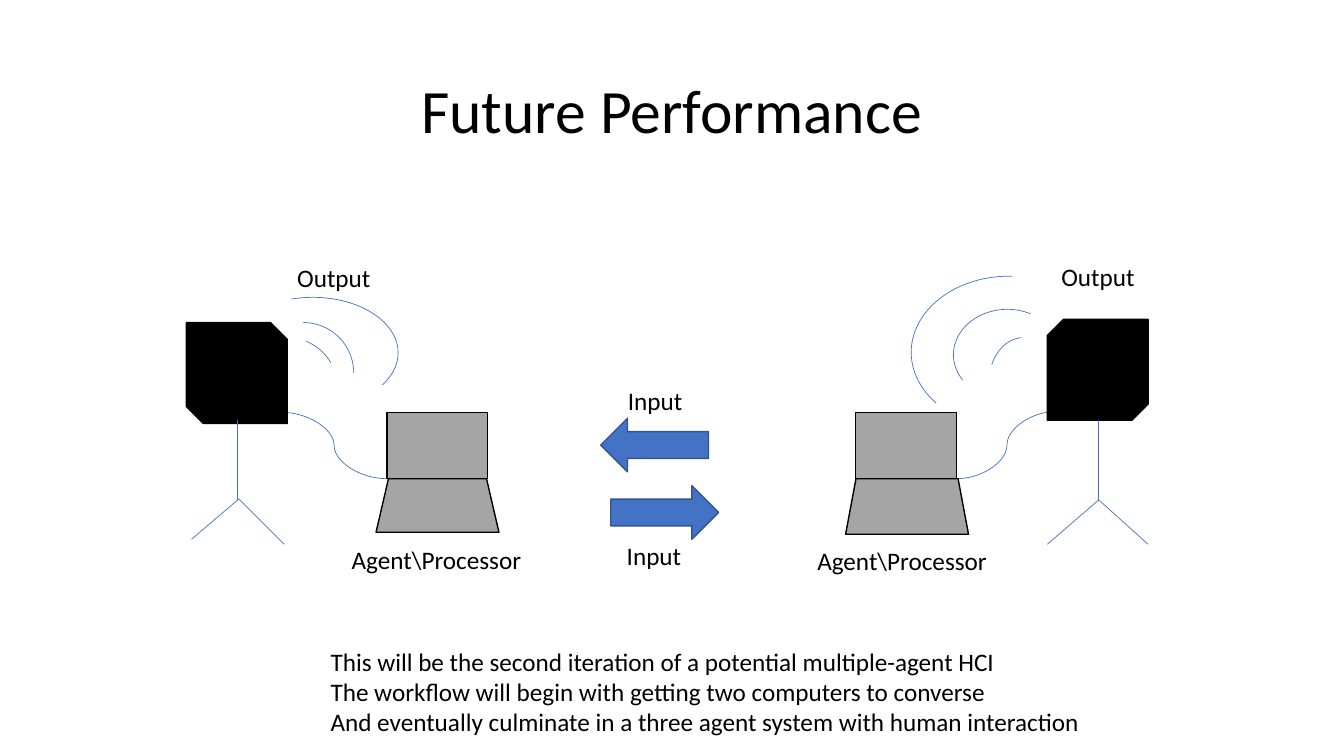
from dataclasses import dataclass

from pptx import Presentation
from pptx.dml.color import RGBColor
from pptx.enum.shapes import MSO_CONNECTOR, MSO_SHAPE
from pptx.enum.text import MSO_ANCHOR, MSO_AUTO_SIZE, PP_ALIGN
from pptx.oxml.ns import qn
from pptx.slide import Slide
from pptx.text.text import _Paragraph
from pptx.util import Pt

COLORS = {"black": "000000", "gray": "A5A5A5", "blue": "4472C4", "navy": "325491"}


@dataclass
class Block:
    kind: MSO_SHAPE
    box: tuple[float, float, float, float]
    fill: str
    line: str = "black"
    adjust: tuple[float, ...] = ()


@dataclass
class Wave:
    box: tuple[float, float, float, float]
    angles: tuple[float, float]  # start and end, in units of 5/3 degree
    flips: tuple[str, ...] = ()


@dataclass
class Wire:
    start: tuple[float, float]
    end: tuple[float, float]
    kind: MSO_CONNECTOR = MSO_CONNECTOR.STRAIGHT


@dataclass
class Label:
    box: tuple[float, float, float, float]
    lines: tuple[str, ...]


DEVICES = [
    Block(MSO_SHAPE.RECTANGLE, (276.5, 294.5, 72, 47.5), "gray"),
    Block(MSO_SHAPE.RECTANGLE, (611.3, 294.5, 72, 47.5), "gray"),
    Block(MSO_SHAPE.TRAPEZOID, (268.6, 342, 87.8, 38.2), "gray", adjust=(0.232,)),
    Block(MSO_SHAPE.TRAPEZOID, (604, 342, 87.8, 39.6), "gray", adjust=(0.187,)),
    Block(MSO_SHAPE.RIGHT_ARROW, (436.3, 347, 77, 38.2), "blue", "navy"),
    Block(MSO_SHAPE.LEFT_ARROW, (429.1, 298.8, 77, 38.2), "blue", "navy"),
    Block(MSO_SHAPE.SNIP_2_DIAG_RECTANGLE, (133.2, 230.4, 72, 72), "black"),
    Block(MSO_SHAPE.SNIP_2_DIAG_RECTANGLE, (748.1, 228.2, 72, 72), "black",
          adjust=(0.161, 0)),
]

WAVES = [
    Wave((169.2, 241.2, 72, 72), (175.37, 197.94)),
    Wave((180.7, 230.4, 72, 72), (162, 0)),
    Wave((162.7, 212.4, 121.7, 79.2), (148.92, 14.91)),
    Wave((706.3, 241.2, 49, 64.8), (163.27, 197.73), ("flipH",)),
    Wave((681.1, 221, 77, 64.8), (144.24, 17.68), ("flipH",)),
    Wave((650.9, 197.3, 139.7, 108.7), (195.08, 55.4), ("flipH", "flipV")),
]

CABLES = [
    Wire((683.3, 342), (755.3, 293.8), MSO_CONNECTOR.CURVE),
    Wire((276.5, 342), (200.9, 294.5), MSO_CONNECTOR.CURVE),
]

STANDS = [
    Wire((784.8, 300.2), (784.8, 357.1)),
    Wire((784.1, 356.4), (820.1, 388.8)),
    Wire((784.8, 357.1), (748.1, 388.8)),
    Wire((169.9, 300.2), (169.9, 357.1)),
    Wire((170.6, 356.4), (203, 388.8)),
    Wire((170.6, 356.4), (136.8, 385.2)),
]

LABELS = [
    Label((440.6, 382.3, 54, 28.8), ("Input",)),
    Label((441.4, 271.4, 54, 28.8), ("Input",)),
    Label((205.2, 183.6, 67.7, 28.8), ("Output",)),
    Label((751, 182.9, 67.7, 28.8), ("Output",)),
    Label((576.7, 385.9, 141.1, 28.8), ("Agent\\Processor",)),
    Label((244.1, 385.2, 141.1, 28.8), ("Agent\\Processor",)),
    Label((229, 457.9, 555.8, 72.7), (
        "This will be the second iteration of a potential multiple-agent HCI",
        "The workflow will begin with getting two computers to converse",
        "And eventually culminate in a three agent system with human interaction",
    )),
]


def color(name: str) -> RGBColor:
    return RGBColor.from_string(COLORS[name])


def style(para: _Paragraph, size: float) -> None:
    para.font.name = "Calibri"
    para.font.size = Pt(size)
    para.font.color.rgb = color("black")


def add_title(slide: Slide, text: str) -> None:
    title = slide.shapes.title
    title.left, title.top = Pt(66), Pt(28.8)
    title.width, title.height = Pt(828), Pt(104.4)
    title.text_frame.text = text
    title.text_frame.vertical_anchor = MSO_ANCHOR.MIDDLE
    para = title.text_frame.paragraphs[0]
    para.alignment = PP_ALIGN.CENTER
    para.line_spacing = 0.9
    style(para, 44)


def add_block(slide: Slide, block: Block) -> None:
    shape = slide.shapes.add_shape(block.kind, *map(Pt, block.box))
    shape.shadow.inherit = False
    shape.fill.solid()
    shape.fill.fore_color.rgb = color(block.fill)
    shape.line.color.rgb = color(block.line)
    shape.line.width = Pt(1)
    for index, value in enumerate(block.adjust):
        shape.adjustments[index] = value


def add_wave(slide: Slide, wave: Wave) -> None:
    arc = slide.shapes.add_shape(MSO_SHAPE.ARC, *map(Pt, wave.box))
    arc.shadow.inherit = False
    arc.fill.background()
    arc.line.color.rgb = color("blue")
    arc.line.width = Pt(0.5)
    arc.adjustments[0], arc.adjustments[1] = wave.angles
    for flip in wave.flips:
        arc._element.spPr.find(qn("a:xfrm")).set(flip, "1")


def add_wire(slide: Slide, wire: Wire) -> None:
    line = slide.shapes.add_connector(wire.kind, *map(Pt, wire.start + wire.end))
    line.line.color.rgb = color("blue")
    line.line.width = Pt(0.5)
    props = line._element.spPr
    props.append(props.makeelement(qn("a:effectLst"), {}))


def add_label(slide: Slide, label: Label) -> None:
    frame = slide.shapes.add_textbox(*map(Pt, label.box)).text_frame
    frame.word_wrap = False
    frame.auto_size = MSO_AUTO_SIZE.SHAPE_TO_FIT_TEXT
    frame.text = "\n".join(label.lines)
    for para in frame.paragraphs:
        style(para, 18)


def main() -> None:
    deck = Presentation()
    deck.slide_width, deck.slide_height = Pt(960), Pt(540)
    slide = deck.slides.add_slide(deck.slide_layouts[5])
    add_title(slide, "Future Performance")
    for cable in CABLES:
        add_wire(slide, cable)
    for device in DEVICES:
        add_block(slide, device)
    for stand in STANDS:
        add_wire(slide, stand)
    for wave in WAVES:
        add_wave(slide, wave)
    for label in LABELS:
        add_label(slide, label)
    deck.save("out.pptx")


if __name__ == "__main__":
    main()
